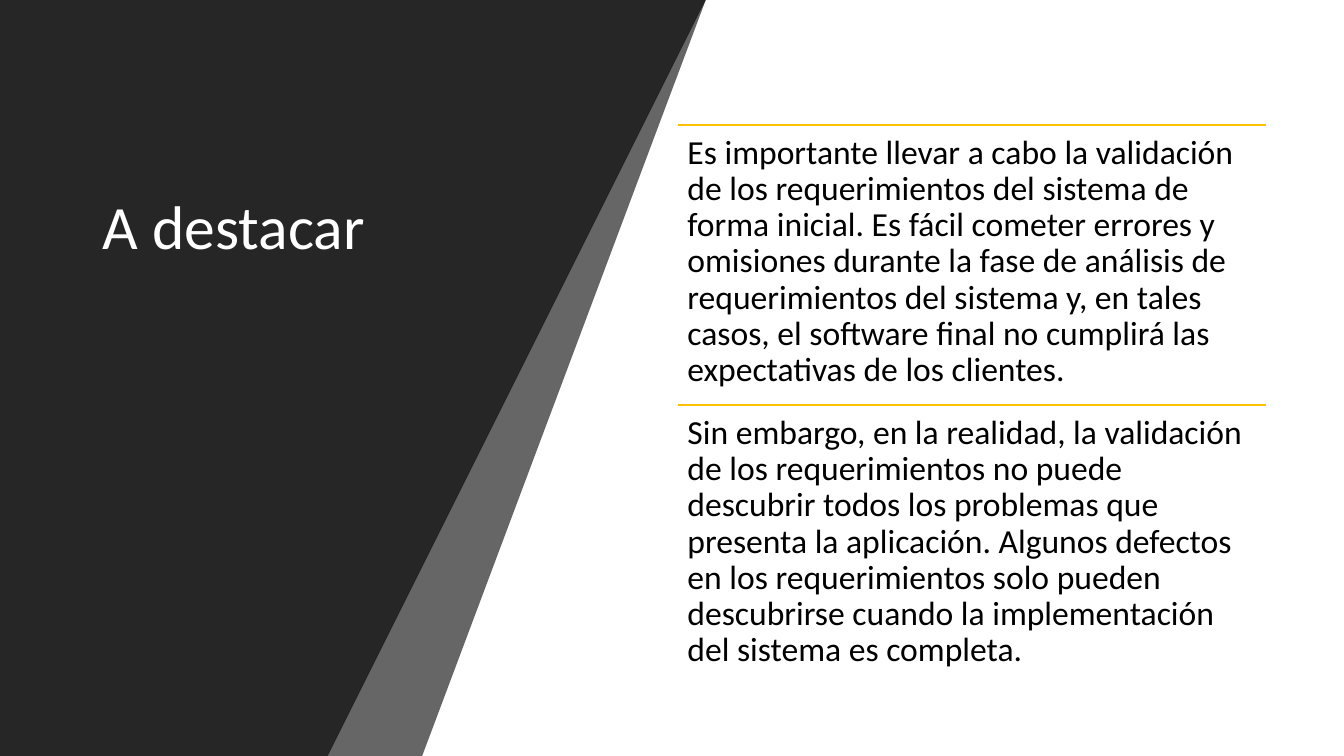
import dataclasses

import lxml.etree
import pptx
import pptx.dml.color
import pptx.enum.shapes
import pptx.enum.text
import pptx.oxml.ns
import pptx.util


@dataclasses.dataclass(frozen=True)
class Theme:
    font: str = "Calibri"
    dark: str = "262626"
    gold: str = "FFC000"
    white: str = "FFFFFF"
    black: str = "000000"
    head: int = 44
    body: int = 24
    rule: int = 1
    lead: float = 0.9


THEME = Theme()
WIDE, HIGH = 13.33, 7.5
LEFT, TOP, SPAN, ROW = 6.72, 1.24, 5.84, 2.78
SLANT = 3.48
BANDS = ((6.98, 70), (6.53, 100))
NOTES = (
    "Es importante llevar a cabo la validación de los requerimientos del sistema "
    "de forma inicial. Es fácil cometer errores y omisiones durante la fase de "
    "análisis de requerimientos del sistema y, en tales casos, el software final "
    "no cumplirá las expectativas de los clientes.",
    "Sin embargo, en la realidad, la validación de los requerimientos no puede "
    "descubrir todos los problemas que presenta la aplicación. Algunos defectos "
    "en los requerimientos solo pueden descubrirse cuando la implementación del "
    "sistema es completa.",
)


def inch(*sizes):
    return [pptx.util.Inches(size) for size in sizes]


def tint(name):
    return pptx.dml.color.RGBColor.from_string(name)


def tag(parent, name, **attrs):
    return lxml.etree.SubElement(parent, pptx.oxml.ns.qn(name), attrs)


def write(shape, text, size, color, anchor):
    frame = shape.text_frame
    frame.text = text
    frame.word_wrap = True
    frame.auto_size = pptx.enum.text.MSO_AUTO_SIZE.NONE
    frame.vertical_anchor = anchor
    frame.margin_left, frame.margin_right = inch(0.1, 0.1)
    para = frame.paragraphs[0]
    para.alignment = pptx.enum.text.PP_ALIGN.LEFT
    para.line_spacing = THEME.lead
    para.font.name = THEME.font
    para.font.size = pptx.util.Pt(size)
    para.font.color.rgb = tint(color)
    return frame


def add_band(slide, edge, solid):
    pen = slide.shapes.build_freeform(0, 0, scale=pptx.util.Inches(1))
    pen.add_line_segments([(edge, 0), (edge - SLANT, HIGH), (0, HIGH)])
    band = pen.convert_to_shape()
    band.shadow.inherit = False
    band.fill.solid()
    band.fill.fore_color.rgb = tint(THEME.dark)
    band.line.fill.background()
    if solid < 100:
        color = band.element.spPr.find(".//" + pptx.oxml.ns.qn("a:srgbClr"))
        tag(color, "a:alpha", val=str(solid * 1000))


def add_title(slide, text):
    title = slide.shapes.title
    title.left, title.top, title.width, title.height = inch(0.92, 0.48, 3.58, 3.6)
    write(title, text, THEME.head, THEME.white, pptx.enum.text.MSO_ANCHOR.MIDDLE)
    title.element.getparent().append(title.element)


def add_note(group, row, text):
    top = TOP + row * ROW
    rule = group.shapes.add_connector(
        pptx.enum.shapes.MSO_CONNECTOR.STRAIGHT, *inch(LEFT, top, LEFT + SPAN, top))
    rule.line.color.rgb = tint(THEME.gold)
    rule.line.width = pptx.util.Pt(THEME.rule)
    tag(rule.element.spPr, "a:effectLst")
    box = group.shapes.add_textbox(*inch(LEFT, top, SPAN, ROW))
    frame = write(box, text, THEME.body, THEME.black, pptx.enum.text.MSO_ANCHOR.TOP)
    frame.margin_top, frame.margin_bottom = inch(0.1, 0.1)


def main():
    deck = pptx.Presentation()
    deck.slide_width, deck.slide_height = inch(WIDE, HIGH)
    slide = deck.slides.add_slide(deck.slide_layouts.get_by_name("Title Only"))
    slide.background.fill.solid()
    slide.background.fill.fore_color.rgb = tint(THEME.white)
    for edge, solid in BANDS:
        add_band(slide, edge, solid)
    add_title(slide, "A destacar")
    group = slide.shapes.add_group_shape()
    for row, text in enumerate(NOTES):
        add_note(group, row, text)
    deck.save("out.pptx")


if __name__ == "__main__":
    main()
